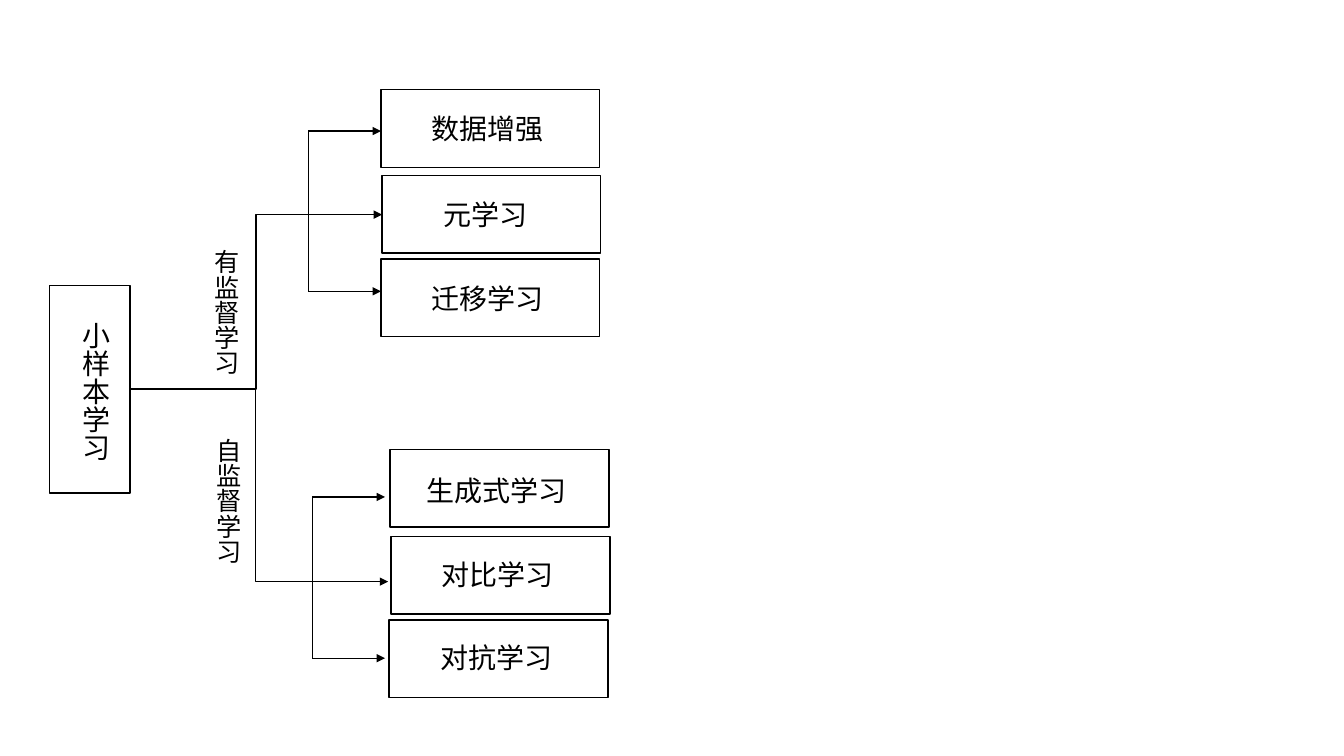
from dataclasses import dataclass

from lxml import etree
from pptx import Presentation
from pptx.dml.color import RGBColor
from pptx.enum.shapes import MSO_CONNECTOR, MSO_SHAPE
from pptx.enum.text import MSO_AUTO_SIZE, PP_ALIGN
from pptx.oxml.ns import qn
from pptx.util import Inches, Pt

RECT = MSO_SHAPE.RECTANGLE
STRAIGHT = MSO_CONNECTOR.STRAIGHT
ELBOW = MSO_CONNECTOR.ELBOW
GROW = MSO_AUTO_SIZE.SHAPE_TO_FIT_TEXT
LEFT = PP_ALIGN.LEFT

COLS, ROWS = 133.33, 75
PAD_X, PAD_Y = 2, 1
GLYPH, LEAD = 0.14, 0.17


@dataclass(frozen=True)
class Theme:
    ink: RGBColor = RGBColor(0, 0, 0)
    font: str = "Noto Sans CJK SC"
    large: int = 20
    small: int = 18
    line: float = 1


class Board:
    def __init__(self, deck, theme):
        self.theme = theme
        self.slide = deck.slides.add_slide(deck.slide_layouts[6])
        self.col = deck.slide_width / COLS
        self.row = deck.slide_height / ROWS

    def place(self, *cells):
        """Turn alternating column and row counts into slide lengths."""
        units = (self.col, self.row) * 2
        return [round(cell * unit) for cell, unit in zip(cells, units)]

    def pen(self, item):
        item.line.color.rgb = self.theme.ink
        item.line.width = Pt(self.theme.line)

    def box(self, x, y, width, height):
        rect = self.slide.shapes.add_shape(RECT, *self.place(x, y, width, height))
        rect.shadow.inherit = False
        rect.fill.background()
        self.pen(rect)

    def text(self, words, x, y, size=None, upright=False):
        """Add one line of text in a box sized by its glyph count."""
        size = size or self.theme.large
        run_len, depth = len(words) * size * GLYPH, size * LEAD
        width, height = (depth, run_len) if upright else (run_len, depth)
        area = self.place(x, y, width + PAD_X, height + PAD_Y)
        label = self.slide.shapes.add_textbox(*area)
        frame = label.text_frame
        frame.word_wrap = False
        frame.auto_size = GROW
        if upright:
            label.element.txBody.find(qn("a:bodyPr")).set("vert", "eaVert")
        para = frame.paragraphs[0]
        para.alignment = LEFT
        run = para.add_run()
        run.text = words
        font = run.font
        font.size, font.name = Pt(size), self.theme.font
        font.color.rgb = self.theme.ink
        props = run.font.fill and run._r.get_or_add_rPr()
        etree.SubElement(props, qn("a:ea"), typeface=self.theme.font)

    def link(self, start, end, arrow=True, bend=None):
        """Join two points; bend is the share of the width where an elbow turns."""
        kind = STRAIGHT if bend is None else ELBOW
        wire = self.slide.shapes.add_connector(kind, *self.place(*start, *end))
        self.pen(wire)
        props = wire.element.spPr
        if bend is not None:
            geom = props.find(qn("a:prstGeom"))
            guides = geom.find(qn("a:avLst"))
            if guides is None:
                guides = etree.SubElement(geom, qn("a:avLst"))
            turn = f"val {round(bend * 100000)}"
            etree.SubElement(guides, qn("a:gd"), name="adj1", fmla=turn)
        if arrow:
            edge = props.find(qn("a:ln"))
            etree.SubElement(edge, qn("a:tailEnd"), type="triangle")
        etree.SubElement(props, qn("a:effectLst"))

    def fork(self, x, top, low, reach=7.2):
        """Draw a stem with an arrow at each end."""
        self.link((x, top), (x, low), arrow=False)
        for y in (top, low):
            self.link((x, y), (x + reach, y))


# Words, box corner, text corner
TOPICS = [
    ("数据增强", (37.8, 8.9), (41.8, 10.6)),
    ("元学习", (37.9, 17.4), (43, 19.1)),
    ("迁移学习", (37.8, 25.7), (41.8, 27.4)),
    ("生成式学习", (38.7, 44.6), (41.3, 46.5)),
    ("对比学习", (38.8, 53.2), (42.8, 54.8)),
    ("对抗学习", (38.6, 61.5), (42.7, 63.1)),
]
TOPIC_SIZE = (21.7, 7.7)
BRANCHES = [("有监督学习", (19.4, 23.8)), ("自监督学习", (19.6, 42.5))]


def main():
    deck = Presentation()
    deck.slide_width, deck.slide_height = Inches(13.33), Inches(7.5)
    theme = Theme()
    board = Board(deck, theme)

    board.box(4.9, 28.3, 8, 20.6)
    board.text("小样本学习", 6.2, 30.9, upright=True)
    board.link((12.9, 38.6), (37.9, 21.3), bend=0.5)
    board.link((13.2, 38.6), (38.5, 57.7), bend=0.48)
    board.fork(30.6, 13, 28.9)
    board.fork(31, 49.3, 65.3)
    for words, corner, spot in TOPICS:
        board.box(*corner, *TOPIC_SIZE)
        board.text(words, *spot)
    for words, spot in BRANCHES:
        board.text(words, *spot, size=theme.small, upright=True)

    deck.save("out.pptx")


if __name__ == "__main__":
    main()
